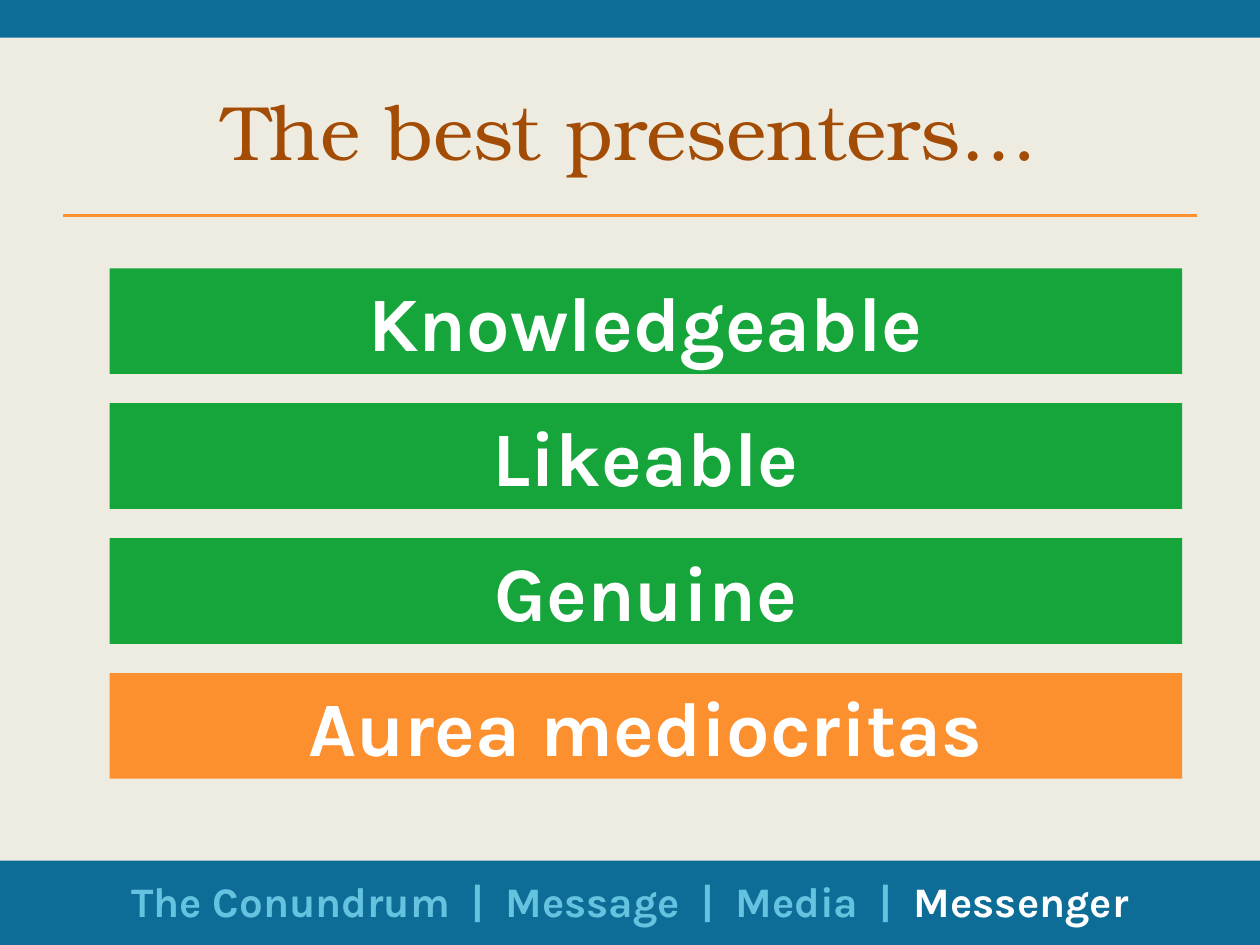
from lxml import etree
from pptx import Presentation
from pptx.dml.color import RGBColor
from pptx.enum.shapes import MSO_CONNECTOR, MSO_SHAPE
from pptx.enum.text import MSO_ANCHOR, MSO_AUTO_SIZE, PP_ALIGN
from pptx.oxml.ns import qn
from pptx.util import Cm, Pt

RECTANGLE = MSO_SHAPE.RECTANGLE
STRAIGHT = MSO_CONNECTOR.STRAIGHT
TOP, MIDDLE = MSO_ANCHOR.TOP, MSO_ANCHOR.MIDDLE
CENTER = PP_ALIGN.CENTER
FIT_SHAPE, NO_FIT = MSO_AUTO_SIZE.SHAPE_TO_FIT_TEXT, MSO_AUTO_SIZE.NONE

COLORS = {
    "background": "EEECE1", "band": "0D6D97", "title": "A34C05",
    "orange": "FD902E", "green": "15A53B", "white": "FFFFFF", "muted": "65C3DF",
}
WIDTH, HEIGHT = 25.4, 19.05
MARGIN = 1.27
CONTENT_WIDTH = WIDTH - 2 * MARGIN


def add_rectangle(left, top, width, height, color):
    shape = slide.shapes.add_shape(RECTANGLE, Cm(left), Cm(top), Cm(width), Cm(height))
    shape.shadow.inherit = False
    shape.fill.solid()
    shape.fill.fore_color.rgb = RGBColor.from_string(COLORS[color])
    shape.line.fill.background()
    return shape


def format_run(run, font_name, size, color, bold):
    run.font.name = font_name
    run.font.size = Pt(size)
    run.font.bold = bold
    run.font.color.rgb = RGBColor.from_string(COLORS[color])


presentation = Presentation()
presentation.slide_width, presentation.slide_height = Cm(WIDTH), Cm(HEIGHT)
slide = presentation.slides.add_slide(presentation.slide_layouts[5])
slide.background.fill.solid()
slide.background.fill.fore_color.rgb = RGBColor.from_string(COLORS["background"])

# Top and bottom bands
for top, height in ((0, 0.76), (17.35, 1.7)):
    add_rectangle(0, top, WIDTH, height, "band")

# Title and the rule below it
title = slide.shapes.title
title.left, title.top = Cm(MARGIN), Cm(MARGIN)
title.width, title.height = Cm(CONTENT_WIDTH), Cm(2.67)
title.text_frame.text = "The best presenters…"
title.text_frame.vertical_anchor = MIDDLE
title.text_frame.auto_size = NO_FIT
title.text_frame.paragraphs[0].alignment = CENTER
format_run(title.text_frame.paragraphs[0].runs[0], "TeX Gyre Bonum", 44, "title", False)

rule = slide.shapes.add_connector(
    STRAIGHT, Cm(MARGIN), Cm(4.34), Cm(WIDTH - MARGIN), Cm(4.34))
rule.line.color.rgb = RGBColor.from_string(COLORS["orange"])
rule.line.width = Pt(2)
etree.SubElement(rule._element.spPr, qn("a:effectLst"))

# Evenly spaced quality bars
qualities = [
    ("Knowledgeable", "green"),
    ("Likeable", "green"),
    ("Genuine", "green"),
    ("Aurea mediocritas", "orange"),
]
for index, (quality, color) in enumerate(qualities):
    bar = add_rectangle(2.21, 5.41 + index * 2.72, 21.62, 2.13, color)
    bar.text_frame.text = quality
    bar.text_frame.word_wrap = True
    bar.text_frame.vertical_anchor = TOP
    bar.text_frame.auto_size = FIT_SHAPE
    bar.text_frame.paragraphs[0].alignment = CENTER
    format_run(bar.text_frame.paragraphs[0].runs[0], "Karla", 44, "white", True)

# Section trail with the current section highlighted
trail = slide.shapes.add_textbox(Cm(MARGIN), Cm(17.53), Cm(CONTENT_WIDTH), Cm(1.27))
trail.text_frame.word_wrap = True
trail.text_frame.auto_size = FIT_SHAPE
paragraph = trail.text_frame.paragraphs[0]
paragraph.alignment = CENTER
for text, color in (("The Conundrum  |  Message  |  Media  |  ", "muted"),
                    ("Messenger", "white")):
    run = paragraph.add_run()
    run.text = text
    format_run(run, "Karla", 24, color, True)

presentation.save("out.pptx")
